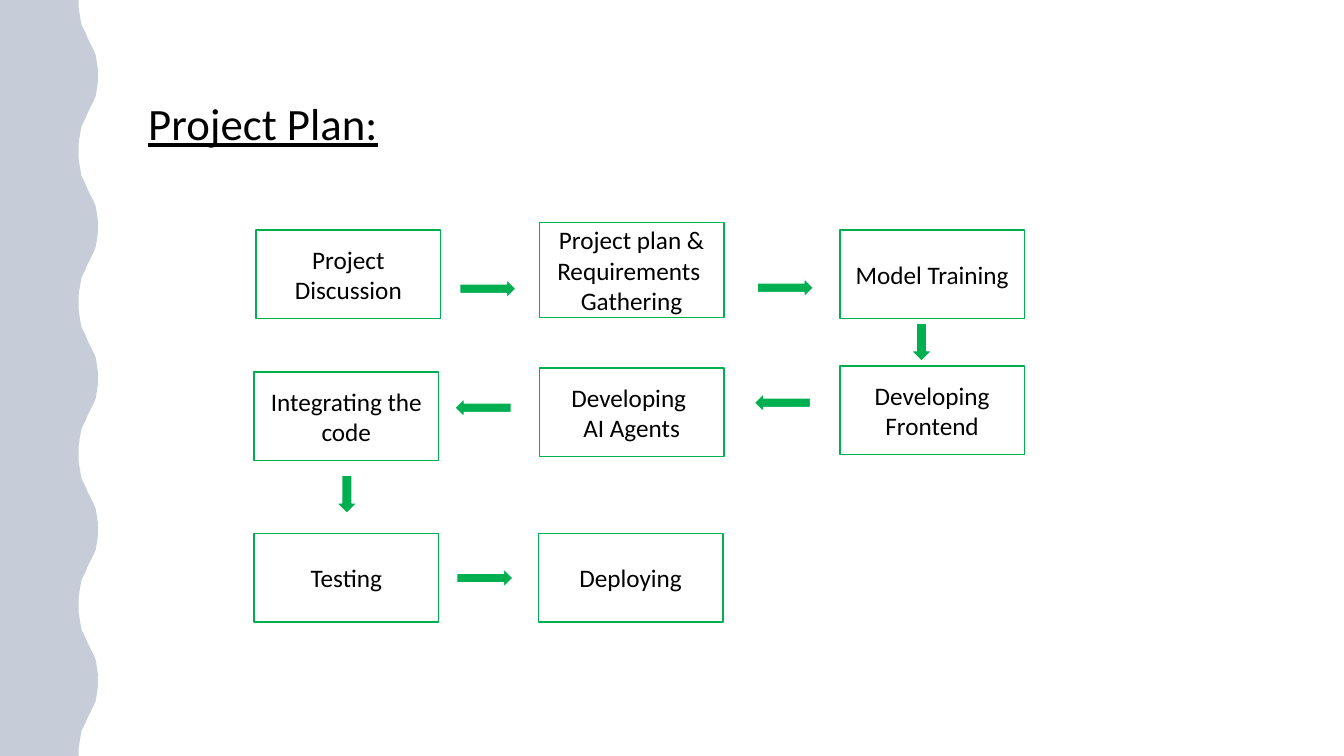
from dataclasses import dataclass

from lxml.etree import SubElement
from pptx import Presentation
from pptx.dml.color import RGBColor
from pptx.enum.shapes import MSO_SHAPE as Shape
from pptx.enum.text import MSO_ANCHOR as Anchor, MSO_AUTO_SIZE as AutoSize, PP_ALIGN as Align
from pptx.oxml.ns import qn
from pptx.util import Pt

PX = 9144  # 100 px to the inch
PAGE_WIDTH, PAGE_HEIGHT = 1333, 750


@dataclass(frozen=True)
class Theme:
    font: str = "Calibri"
    title_size: int = 32
    box_size: int = 18
    line_width: int = 1
    ink: RGBColor = RGBColor(0, 0, 0)
    paper: RGBColor = RGBColor(255, 255, 255)
    green: RGBColor = RGBColor(0x00, 0xB0, 0x50)
    navy: RGBColor = RGBColor(0x20, 0x38, 0x64)
    wave_opacity: int = 25


THEME = Theme()

BOX_WIDTH, BOX_HEIGHT = 183, 88
# left, top, height, lines
STEPS = [
    (254, 228, BOX_HEIGHT, ["Project Discussion"]),
    (535, 221, 94, ["Project plan & Requirements ", "Gathering"]),
    (833, 228, BOX_HEIGHT, ["Model Training"]),
    (833, 363, BOX_HEIGHT, ["Developing", "Frontend"]),
    (535, 365, BOX_HEIGHT, ["Developing ", "AI Agents"]),
    (252, 369, BOX_HEIGHT, ["Integrating the code"]),
    (252, 529, BOX_HEIGHT, ["Testing"]),
    (534, 529, BOX_HEIGHT, ["Deploying"]),
]

LONG_ARROW, SHORT_ARROW = (56, 19), (38, 21)
RIGHT, DOWN, LEFT = 0, 90, 180
# left, top, size, direction
ARROWS = [
    (456, 277, LONG_ARROW, RIGHT),
    (751, 276, LONG_ARROW, RIGHT),
    (895, 329, SHORT_ARROW, DOWN),
    (748, 390, LONG_ARROW, LEFT),
    (451, 395, LONG_ARROW, LEFT),
    (325, 480, SHORT_ARROW, DOWN),
    (453, 564, LONG_ARROW, RIGHT),
]

WAVE_PERIOD = 150
# The edge from a trough to the next crest
HALF_WAVE = [
    (78, 0), (78, 7), (79, 14), (80, 20), (81, 25), (83, 29), (85, 33), (87, 38),
    (89, 42), (91, 46), (93, 50), (95, 55), (96, 61), (97, 68), (97, 75),
]


def paint(shape, fill, line):
    shape.shadow.inherit = False
    shape.fill.solid()
    shape.fill.fore_color.rgb = fill
    shape.line.color.rgb = line
    shape.line.width = Pt(THEME.line_width)


def style_font(para, size):
    para.font.name = THEME.font
    para.font.size = Pt(size)
    para.font.color.rgb = THEME.ink


def add_title(page, text):
    title = page.shapes.title
    title.left, title.top, title.width, title.height = (n * PX for n in (137, 90, 962, 155))
    frame = title.text_frame
    frame.text = text
    frame.auto_size = AutoSize.NONE
    frame.vertical_anchor = Anchor.TOP
    para = frame.paragraphs[0]
    para.alignment = Align.LEFT
    style_font(para, THEME.title_size)
    para.font.underline = True


def add_wave_band(page):
    """Fill the left edge with a see-through band whose right side is wavy."""
    mirrored = [(x, WAVE_PERIOD - y) for x, y in reversed(HALF_WAVE[:-1])]
    wave = HALF_WAVE + mirrored
    edge = [(x, start + y) for start in range(0, PAGE_HEIGHT, WAVE_PERIOD) for x, y in wave]
    builder = page.shapes.build_freeform(0, 0, scale=PX)
    builder.add_line_segments(edge + [(0, PAGE_HEIGHT)], close=True)
    band = builder.convert_to_shape()
    paint(band, THEME.navy, THEME.navy)
    band.line.fill.background()
    color = band._element.spPr.find(qn("a:solidFill")).find(qn("a:srgbClr"))
    SubElement(color, qn("a:alpha")).set("val", str(THEME.wave_opacity * 1000))


def add_step(page, left, top, height, lines):
    box = page.shapes.add_shape(
        Shape.RECTANGLE, left * PX, top * PX, BOX_WIDTH * PX, height * PX)
    paint(box, THEME.paper, THEME.green)
    frame = box.text_frame
    frame.word_wrap = True
    frame.vertical_anchor = Anchor.MIDDLE
    frame.text = "\n".join(lines)
    for para in frame.paragraphs:
        para.alignment = Align.CENTER
        style_font(para, THEME.box_size)


def add_arrow(page, left, top, size, direction):
    width, height = size
    arrow = page.shapes.add_shape(
        Shape.RIGHT_ARROW, left * PX, top * PX, width * PX, height * PX)
    arrow.rotation = direction
    paint(arrow, THEME.green, THEME.paper)


def main():
    deck = Presentation()
    deck.slide_width, deck.slide_height = PAGE_WIDTH * PX, PAGE_HEIGHT * PX
    page = deck.slides.add_slide(deck.slide_layouts[5])
    add_title(page, "Project Plan:")
    add_wave_band(page)
    for step in STEPS:
        add_step(page, *step)
    for arrow in ARROWS:
        add_arrow(page, *arrow)
    deck.save("out.pptx")


if __name__ == "__main__":
    main()
